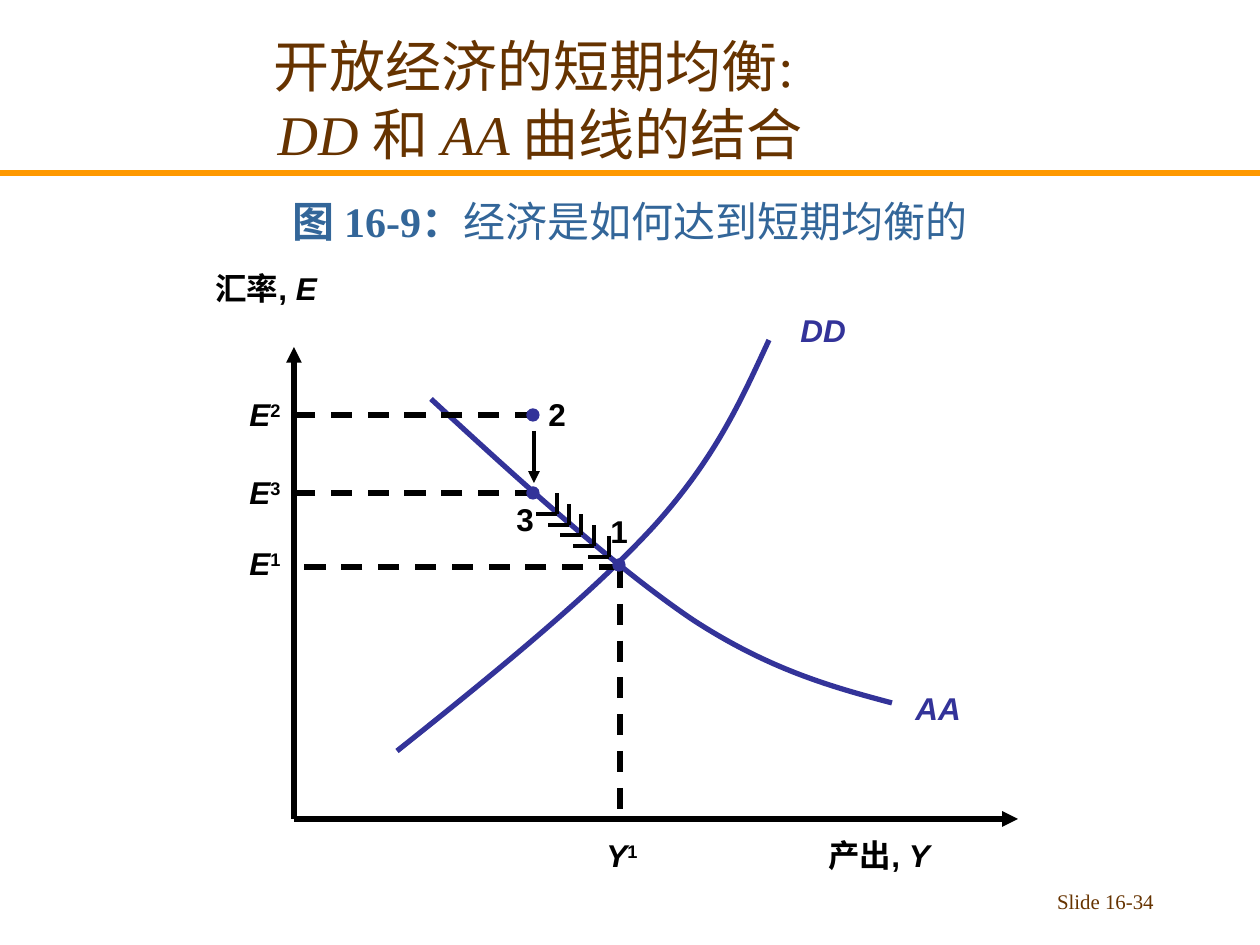
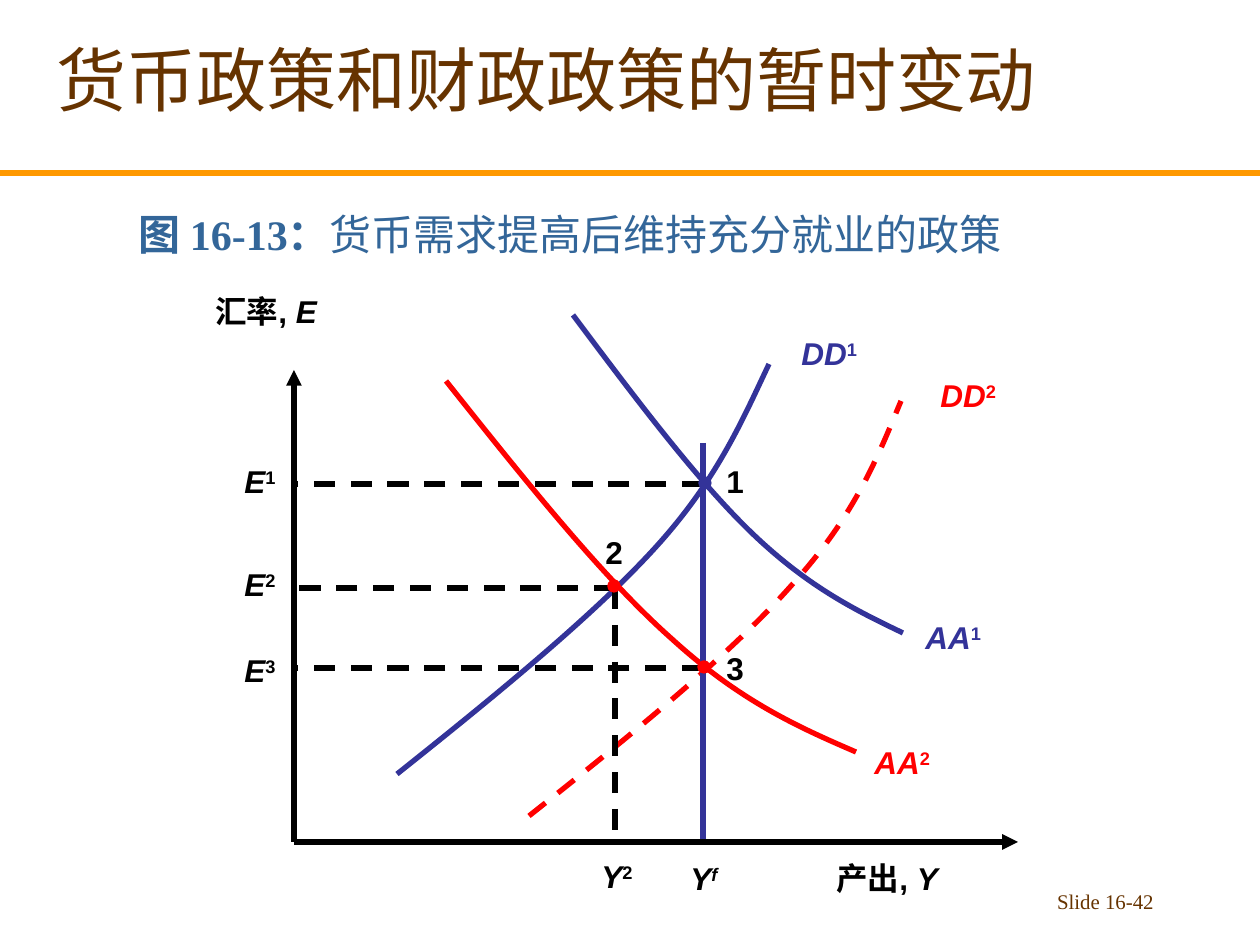
from pptx import Presentation
from pptx.dml.color import RGBColor
from pptx.enum.dml import MSO_LINE
from pptx.enum.shapes import MSO_CONNECTOR, MSO_SHAPE
from pptx.enum.text import MSO_ANCHOR, MSO_AUTO_SIZE, PP_ALIGN
from pptx.util import Pt
from lxml import etree

PX = 7257  # EMU per px, 126 px to the inch
A = "{http://schemas.openxmlformats.org/drawingml/2006/main}"
BLACK, BLUE, RED = "000000", "333399", "FF0000"
BROWN, STEEL, ORANGE = "663300", "336699", "FF9900"


def rgb(value):
    return RGBColor.from_string(value)


def text(s, runs, x, y, w, h, size=18, color=BLACK, font="Arial",
         align=PP_ALIGN.LEFT, anchor=MSO_ANCHOR.TOP, wrap=True):
    """Runs are (words, style); style letters: b bold, i italic, ^ superscript."""
    tf = s.shapes.add_textbox(x * PX, y * PX, w * PX, h * PX).text_frame
    tf.word_wrap = wrap
    if not wrap:
        tf.auto_size = MSO_AUTO_SIZE.SHAPE_TO_FIT_TEXT
    tf.vertical_anchor = anchor
    p = tf.paragraphs[0]
    p.alignment = align
    for words, style in runs:
        if words == "\n":
            p.add_line_break()
            continue
        r = p.add_run()
        r.text = words
        r.font.name, r.font.size = font, Pt(size)
        r.font.bold, r.font.italic = "b" in style, "i" in style
        r.font.color.rgb = rgb(color)
        if "^" in style:
            r._r.get_or_add_rPr().set("baseline", "30000")


# Slide 1 hatching: a step left and a step up from each corner
corners = zip((557, 569, 581, 594, 609), (514, 525, 535, 546, 557))
hatching = [(x, y, x + dx, y + dy, BLACK, 2.25, "")
            for x, y in corners for dx, dy in ((-21, 0), (0, -21))]

# lines: x1, y1, x2, y2, colour, width, kind
# curves: colour, dashed, start and two cubic segments
# labels: letters, superscript, x, y, width, colour
slides = [
    dict(
        title=[("开放经济的短期均衡: ", ""), ("\n", ""), ("DD ", "i"), ("和 ", ""),
               ("AA ", "i"), ("曲线的结合", "")],
        title_box=(0, 21, 1081, 156), title_size=32,
        caption=("图 16-9：", "经济是如何达到短期均衡的"),
        caption_box=(0, 179, 1260, 73), caption_align=PP_ALIGN.CENTER,
        number="Slide 16-34", axis_top=347, output_at=(816, 830),
        lines=hatching + [
            (620, 567, 294, 567, BLACK, 3, "dash"),
            (620, 567, 620, 819, BLACK, 3, "dash"),
            (536, 493, 294, 493, BLACK, 3, "dash"),
            (536, 415, 294, 415, BLACK, 3, "dash"),
            (534, 431, 534, 483, BLACK, 2.25, "arrow")],
        curves=[
            (BLUE, False, [(431, 399), (523, 484), (616, 568), (693, 620),
                           (770, 670), (832, 687), (892, 703)]),
            (BLUE, False, [(397, 751), (495, 673), (593, 593), (655, 525),
                           (717, 456), (742, 398), (769, 340)])],
        dots=[(619, 565, BLUE), (533, 493, BLUE), (533, 415, BLUE)],
        labels=[("AA", "", 903, 683, 71, BLUE), ("DD", "", 788, 305, 71, BLUE),
                ("Y", "1", 594, 830, 57, BLACK), ("E", "1", 237, 538, 57, BLACK),
                ("E", "3", 237, 467, 57, BLACK), ("E", "2", 237, 389, 57, BLACK),
                ("1", "", 598, 506, 43, BLACK), ("3", "", 504, 494, 43, BLACK),
                ("2", "", 536, 389, 43, BLACK)],
    ),
    dict(
        title=[("货币政策和财政政策的暂时变动", "")],
        title_box=(11, 0, 1071, 156), title_size=40,
        caption=("图 16-13：", "货币需求提高后维持充分就业的政策"),
        caption_box=(126, 197, 1134, 68), caption_align=PP_ALIGN.LEFT,
        number="Slide 16-42", axis_top=370, output_at=(824, 853),
        lines=[
            (703, 443, 703, 842, BLUE, 3, ""),
            (615, 588, 289, 588, BLACK, 3, "dash"),
            (615, 588, 615, 840, BLACK, 3, "dash"),
            (703, 668, 294, 668, BLACK, 3, "dash"),
            (703, 484, 294, 484, BLACK, 3, "dash")],
        curves=[
            (BLUE, False, [(397, 774), (495, 696), (593, 616), (655, 548),
                           (717, 480), (742, 421), (769, 364)]),
            (RED, True, [(529, 816), (630, 736), (730, 655), (791, 586),
                         (854, 517), (877, 459), (901, 401)]),
            (BLUE, False, [(573, 315), (636, 399), (699, 483), (755, 536),
                           (810, 588), (857, 611), (903, 633)]),
            (RED, False, [(446, 381), (524, 479), (602, 577), (672, 639),
                          (740, 701), (798, 727), (856, 752)])],
        dots=[(614, 586, RED), (704, 667, RED), (705, 483, BLUE)],
        labels=[("DD", "1", 789, 328, 81, BLUE), ("DD", "2", 928, 370, 81, RED),
                ("AA", "1", 913, 612, 81, BLUE), ("AA", "2", 862, 737, 81, RED),
                ("Y", "f", 678, 853, 52, BLACK), ("Y", "2", 589, 851, 57, BLACK),
                ("E", "2", 232, 559, 57, BLACK), ("E", "3", 232, 645, 57, BLACK),
                ("E", "1", 232, 456, 57, BLACK), ("2", "", 593, 527, 43, BLACK),
                ("3", "", 714, 643, 43, BLACK), ("1", "", 714, 456, 43, BLACK)],
    ),
]

prs = Presentation()
prs.slide_width, prs.slide_height = 1260 * PX, 945 * PX

for d in slides:
    s = prs.slides.add_slide(prs.slide_layouts[6])

    # Curves: each three points after the start become one cubic segment
    for color, dashed, pts in d["curves"]:
        fb = s.shapes.build_freeform(*pts[0], scale=PX)
        fb.add_line_segments(pts[1:], close=False)
        sp = fb.convert_to_shape()
        steps = list(sp._element.iter(A + "lnTo"))
        for i in (0, 3):
            cubic = etree.SubElement(steps[i].getparent(), A + "cubicBezTo")
            for step in steps[i:i + 3]:
                cubic.append(step[0])
                step.getparent().remove(step)
        sp.shadow.inherit = False
        sp.fill.background()
        sp.line.color.rgb = rgb(color)
        sp.line.width = Pt(3)
        if dashed:
            sp.line.dash_style = MSO_LINE.DASH

    # Title rule, guide lines and axes
    top, bottom = d["axis_top"], d["axis_top"] + 472
    shared = [(0, 173, 1260, 173, ORANGE, 3, ""),
              (294, bottom, 294, top, BLACK, 3, "arrow"),
              (294, bottom, 1018, bottom, BLACK, 3, "arrow")]
    for x1, y1, x2, y2, color, width, kind in d["lines"] + shared:
        cn = s.shapes.add_connector(MSO_CONNECTOR.STRAIGHT,
                                    x1 * PX, y1 * PX, x2 * PX, y2 * PX)
        cn.line.color.rgb = rgb(color)
        cn.line.width = Pt(width)
        if kind == "dash":
            cn.line.dash_style = MSO_LINE.DASH
        if kind == "arrow":
            etree.SubElement(cn.line._get_or_add_ln(), A + "tailEnd", type="triangle")
        etree.SubElement(cn._element.spPr, A + "effectLst")

    # Equilibrium points
    for x, y, color in d["dots"]:
        sp = s.shapes.add_shape(MSO_SHAPE.OVAL, (x - 6) * PX, (y - 6) * PX,
                                12 * PX, 12 * PX)
        sp.shadow.inherit = False
        sp.fill.solid()
        sp.fill.fore_color.rgb = rgb(color)
        sp.line.color.rgb = rgb(color)
        sp.line.width = Pt(0.75)

    # Curve, point and axis labels
    for letters, sup, x, y, w, color in d["labels"]:
        runs = [(letters, "b" if letters.isdigit() else "bi")]
        if sup:
            runs.append((sup, "b^" if sup.isdigit() else "bi^"))
        text(s, runs, x, y, w, 50, color=color, wrap=False)
    for name, letter, x, y in (("汇率, ", "E", 203, top - 84),
                               ("产出, ", "Y", *d["output_at"])):
        text(s, [(name, "b"), (letter, "bi")], x, y, 136, 50, wrap=False)

    # Title, caption and slide number
    text(s, d["title"], *d["title_box"], size=d["title_size"], color=BROWN,
         font="Times New Roman", align=PP_ALIGN.CENTER, anchor=MSO_ANCHOR.MIDDLE)
    figure, subject = d["caption"]
    text(s, [(figure, "b"), (subject, "")], *d["caption_box"], size=24, color=STEEL,
         font="Times New Roman", align=d["caption_align"], anchor=MSO_ANCHOR.BOTTOM)
    text(s, [(d["number"], "")], 904, 882, 262, 42, size=11.9, color=BROWN,
         font="Times New Roman", align=PP_ALIGN.RIGHT)

prs.save("out.pptx")
